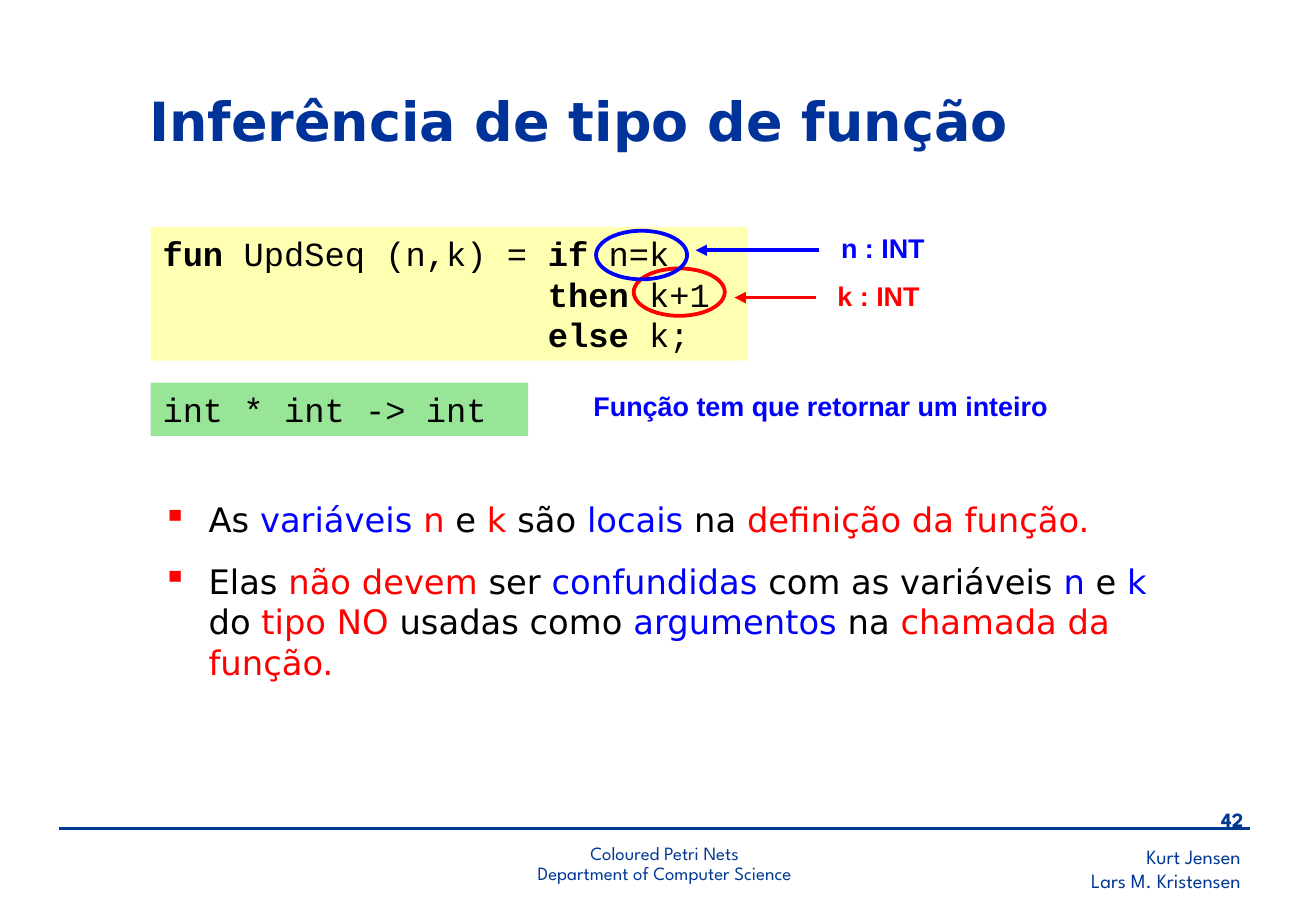
"""Build the slide on type inference for functions."""
from pptx import Presentation
from pptx.dml.color import RGBColor as RGB
from pptx.enum.shapes import MSO_CONNECTOR as CONN, MSO_SHAPE as SHAPE
from pptx.enum.text import MSO_ANCHOR as ANCHOR, PP_ALIGN as ALIGN
from pptx.oxml.ns import qn
from pptx.util import Pt
from lxml.etree import SubElement

PX = 9144
NAVY, TITLE = RGB(0x00, 0x38, 0x93), RGB(0x00, 0x33, 0x99)
BLACK, RED, BLUE = RGB(0, 0, 0), RGB(0xFF, 0, 0), RGB(0, 0, 0xFF)
YELLOW, GREEN = RGB(0xFF, 0xFF, 0x66), RGB(0x33, 0xCC, 0x33)
SANS, MONO, LABEL, FOOT = "DejaVu Sans", "Courier New", "Arial", "League Spartan"

CODE = [
    [("fun", BLACK, True), (" UpdSeq (n,k) = ", BLACK), ("if", BLACK, True), (" n=k", BLACK)],
    [("                   ", BLACK), ("then", BLACK, True), (" k+1", BLACK)],
    [("                   ", BLACK), ("else", BLACK, True), (" k;", BLACK)],
]
SIGNATURE = [[("int * int -> int", BLACK)]]
PANELS = [
    ((124, 187, 492, 110), YELLOW, CODE),
    ((124, 315, 311, 44), GREEN, SIGNATURE),
]
BULLETS = [
    [("As ", BLACK), ("variáveis", BLUE), (" n ", RED), ("e", BLACK), (" k", RED),
     (" são ", BLACK), ("locais", BLUE), (" na ", BLACK), ("definição da função.", RED)],
    [("Elas ", BLACK), ("não devem ", RED), ("ser ", BLACK), ("confundidas", BLUE),
     (" com as variáveis ", BLACK), ("n", BLUE), (" e ", BLACK), ("k", BLUE),
     (" do ", BLACK), ("tipo NO", RED), (" usadas como ", BLACK), ("argumentos", BLUE),
     (" na ", BLACK), ("chamada da função.", RED)],
]
LABELS = [
    ((680, 225, 95, 37), "k : INT", RED),
    ((683, 186, 95, 37), "n : INT", BLUE),
    ((479, 316, 429, 37), "Função tem que retornar um inteiro", BLUE),
]
CALLOUTS = [
    ((522, 221, 75, 39), (672, 605, 245), RED),
    ((491, 190, 75, 40), (675, 573, 206), BLUE),
]
FOOTERS = [
    ((695, 690, 337, 50), ["Kurt Jensen", "Lars M. Kristensen"], 12, False, ALIGN.RIGHT, 1),
    ((963, 660, 71, 33), ["42"], 12, True, ALIGN.RIGHT, 1),
    ((341, 690, 413, 47), ["Coloured Petri Nets", "Department of Computer Science"],
     11.1, False, ALIGN.CENTER, 0.9),
]


def emu(*lengths):
    return [n * PX for n in lengths]


def write(sp, lines, font, size, align=ALIGN.LEFT, anchor=ANCHOR.TOP):
    tf = sp.text_frame
    tf.word_wrap = True
    tf.vertical_anchor = anchor
    for i, line in enumerate(lines):
        p = tf.add_paragraph() if i else tf.paragraphs[0]
        p.alignment = align
        for text, color, *bold in line:
            r = p.add_run()
            r.text = text
            r.font.name, r.font.size = font, Pt(size)
            r.font.bold = any(bold)
            r.font.color.rgb = color
    return tf


def add_text(slide, box, *args, **kwargs):
    return write(slide.shapes.add_textbox(*emu(*box)), *args, **kwargs)


def add_panel(slide, box, color, lines):
    sp = slide.shapes.add_shape(SHAPE.RECTANGLE, *emu(*box))
    sp.shadow.inherit = False
    sp.fill.solid()
    sp.fill.fore_color.rgb = color
    fill = next(sp._element.spPr.iter(qn("a:srgbClr")))
    SubElement(fill, qn("a:alpha")).set("val", "50000")
    sp.line.fill.background()
    write(sp, lines, MONO, 20)


def add_ellipse(slide, box, color):
    sp = slide.shapes.add_shape(SHAPE.OVAL, *emu(*box))
    sp.shadow.inherit = False
    sp.fill.background()
    sp.line.color.rgb, sp.line.width = color, Pt(2.25)


def add_line(slide, x1, x2, y, color, width, arrow=False):
    line = slide.shapes.add_connector(CONN.STRAIGHT, *emu(x1, y, x2, y))
    line.line.color.rgb, line.line.width = color, Pt(width)
    if arrow:
        SubElement(line.line._get_or_add_ln(), qn("a:tailEnd")).set("type", "triangle")
    SubElement(line._element.spPr, qn("a:effectLst"))


def add_bullets(slide):
    tf = add_text(slide, (124, 406, 862, 173), BULLETS, SANS, 20)
    for i, p in enumerate(tf.paragraphs):
        pPr = p._p.get_or_add_pPr()
        pPr.set("marL", str(38 * PX))
        pPr.set("indent", str(-38 * PX))
        color = SubElement(pPr, qn("a:buClr"))
        SubElement(color, qn("a:srgbClr")).set("val", str(RED))
        SubElement(pPr, qn("a:buChar")).set("char", "▪")
        if i:
            p.space_before = Pt(12.5)


def main():
    prs = Presentation()
    prs.slide_width, prs.slide_height = emu(1084, 750)
    slide = prs.slides.add_slide(prs.slide_layouts[6])

    for box, lines, size, bold, align, spacing in FOOTERS:
        tf = add_text(slide, box, [[(t, NAVY, bold)] for t in lines], FOOT, size, align)
        for p in tf.paragraphs:
            p.line_spacing = spacing
    add_line(slide, 49, 1030, 682, NAVY, 1.5)

    add_text(slide, (113, 64, 795, 69), [[("Inferência de tipo de função", TITLE, True)]],
             SANS, 32, anchor=ANCHOR.MIDDLE)
    for panel in PANELS:
        add_panel(slide, *panel)
    add_bullets(slide)
    for ring, arrow, color in CALLOUTS:
        add_ellipse(slide, ring, color)
        add_line(slide, *arrow, color, 2.25, arrow=True)
    for box, text, color in LABELS:
        add_text(slide, box, [[(text, color, True)]], LABEL, 16)

    prs.save("out.pptx")


if __name__ == "__main__":
    main()
